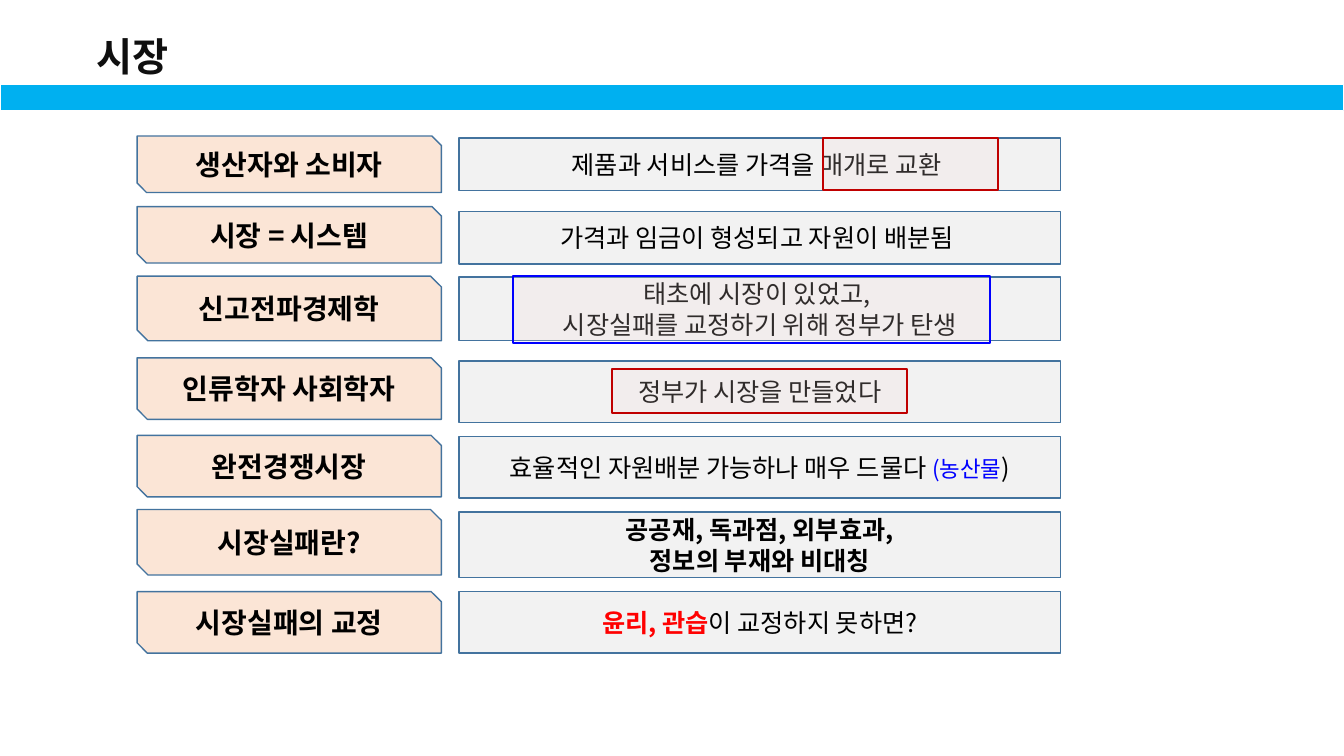
from dataclasses import dataclass

from lxml.etree import SubElement
from pptx import Presentation
from pptx.dml.color import RGBColor
from pptx.enum.shapes import MSO_SHAPE
from pptx.enum.text import MSO_ANCHOR, MSO_AUTO_SIZE, PP_ALIGN
from pptx.oxml.ns import qn
from pptx.shapes.autoshape import Shape
from pptx.slide import Slide
from pptx.text.text import _Paragraph
from pptx.util import Pt

KOREAN_FONT = "Noto Sans CJK KR"
LABEL_LEFT, LABEL_WIDTH = 97.9, 217.4
DETAIL_LEFT, DETAIL_WIDTH = 327.8, 429.8
BORDER = "43739E"
RED, BLUE = "C00000", "0000FF"


@dataclass(frozen=True)
class Box:
    left: float
    top: float
    width: float
    height: float


@dataclass(frozen=True)
class TextRun:
    text: str
    size: float = 18
    color: str = "000000"
    bold: bool = False
    font: str = KOREAN_FONT


@dataclass(frozen=True)
class Row:
    label: TextRun
    label_top: float
    label_height: float
    detail_top: float
    detail_height: float
    detail: list[list[TextRun]]


@dataclass(frozen=True)
class Highlight:
    box: Box
    color: str


def heading(text: str, font: str = KOREAN_FONT) -> TextRun:
    return TextRun(text, size=20, bold=True, font=font)


ROWS = [
    Row(heading("생산자와 소비자"), 97.2, 40.3, 98.6, 37.4,
        [[TextRun("제품과 서비스를 가격을 매개로 교환 ")]]),
    Row(heading("시장 = 시스템"), 147.6, 40.3, 151.2, 37.4,
        [[TextRun("가격과 임금이 형성되고 자원이 배분됨 ")]]),
    Row(heading("신고전파경제학", "Arial"), 197.3, 46.1, 198, 45.4,
        [[TextRun("태초에 시장이 있었고, ")],
         [TextRun("시장실패를 교정하기 위해 정부가 탄생")]]),
    Row(heading("인류학자 사회학자"), 255.6, 43.9, 257.8, 43.9,
        [[TextRun("정부가 시장을 만들었다")]]),
    Row(heading("완전경쟁시장"), 311, 43.9, 311.8, 43.9,
        [[TextRun("효율적인 자원배분 가능하나 매우 드물다 "),
          TextRun("(농산물", size=16, color=BLUE), TextRun(")")]]),
    Row(heading("시장실패란?"), 363.9, 46.8, 365.8, 46.8,
        [[TextRun("공공재, 독과점, 외부효과,", bold=True)],
         [TextRun("정보의 부재와 비대칭", bold=True)]]),
    Row(heading("시장실패의 교정"), 422.6, 43.9, 422.6, 43.9,
        [[TextRun("윤리, 관습", color="FF0000", bold=True),
          TextRun("이 교정하지 못하면?")]]),
]

HIGHLIGHTS = [
    Highlight(Box(437, 263.5, 211, 31.7), RED),
    Highlight(Box(366.5, 197.3, 340.6, 47.5), BLUE),
    Highlight(Box(588.2, 98.6, 124.6, 37.4), RED),
]


def rgb(color: str) -> RGBColor:
    return RGBColor.from_string(color)


def add_run(paragraph: _Paragraph, content: TextRun) -> None:
    run = paragraph.add_run()
    run.text = content.text
    run.font.size = Pt(content.size)
    run.font.bold = content.bold
    run.font.color.rgb = rgb(content.color)
    run.font.name = content.font
    east_asian = SubElement(run.font._element, qn("a:ea"))
    east_asian.set("typeface", KOREAN_FONT)


def add_box(slide: Slide, kind: MSO_SHAPE, box: Box, fill: str,
            line: str, line_width: float = 1) -> Shape:
    shape = slide.shapes.add_shape(
        kind, Pt(box.left), Pt(box.top), Pt(box.width), Pt(box.height))
    shape.shadow.inherit = False
    shape.fill.solid()
    shape.fill.fore_color.rgb = rgb(fill)
    shape.line.color.rgb = rgb(line)
    shape.line.width = Pt(line_width)
    return shape


def write_centred(shape: Shape, lines: list[list[TextRun]]) -> None:
    frame = shape.text_frame
    frame.word_wrap = True
    frame.vertical_anchor = MSO_ANCHOR.MIDDLE
    for index, runs in enumerate(lines):
        paragraph = frame.add_paragraph() if index else frame.paragraphs[0]
        paragraph.alignment = PP_ALIGN.CENTER
        for content in runs:
            add_run(paragraph, content)


def add_title(slide: Slide) -> None:
    title = slide.shapes.add_textbox(Pt(61.9), Pt(19.4), Pt(72), Pt(41))
    title.text_frame.word_wrap = False
    title.text_frame.auto_size = MSO_AUTO_SIZE.SHAPE_TO_FIT_TEXT
    add_run(title.text_frame.paragraphs[0],
            TextRun("시장", size=28, color="0F0F0F", bold=True, font="Open Sans"))


def add_row(slide: Slide, row: Row) -> None:
    detail_box = Box(DETAIL_LEFT, row.detail_top, DETAIL_WIDTH, row.detail_height)
    detail = add_box(slide, MSO_SHAPE.RECTANGLE, detail_box, "F2F2F2", BORDER)
    write_centred(detail, row.detail)
    label_box = Box(LABEL_LEFT, row.label_top, LABEL_WIDTH, row.label_height)
    label = add_box(slide, MSO_SHAPE.SNIP_2_DIAG_RECTANGLE, label_box, "FBE5D6", BORDER)
    write_centred(label, [[row.label]])


def add_highlight(slide: Slide, highlight: Highlight) -> None:
    shape = add_box(slide, MSO_SHAPE.RECTANGLE, highlight.box, "F2DCDB",
                    highlight.color, 1.5)
    fill_color = shape._element.spPr.find(qn("a:solidFill")).find(qn("a:srgbClr"))
    SubElement(fill_color, qn("a:alpha")).set("val", "20000")


def main() -> None:
    presentation = Presentation()
    presentation.slide_width, presentation.slide_height = Pt(960), Pt(540)
    slide = presentation.slides.add_slide(presentation.slide_layouts[6])
    add_title(slide)
    add_box(slide, MSO_SHAPE.RECTANGLE, Box(0, 60.5, 960, 18.7),
            "00B0F0", "FFFFFF", 0.75)
    for row in ROWS:
        add_row(slide, row)
    for highlight in HIGHLIGHTS:
        add_highlight(slide, highlight)
    presentation.save("out.pptx")


if __name__ == "__main__":
    main()
